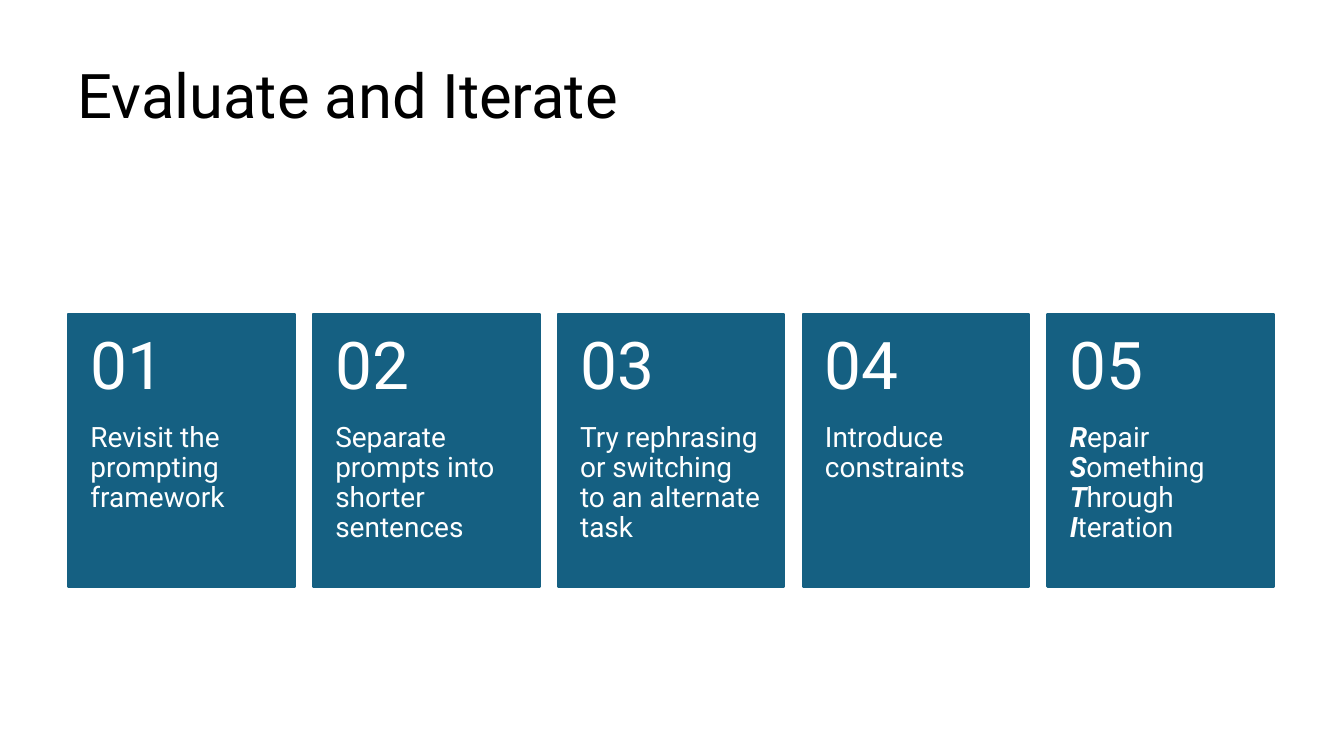
from pptx import Presentation, util as u
from pptx.dml.color import RGBColor
from pptx.enum import shapes, text

BLUE = RGBColor(0x15, 0x60, 0x82)
WHITE = RGBColor(0xFF, 0xFF, 0xFF)
BLACK = RGBColor(0x00, 0x00, 0x00)

# Card grid, in centimetres
LEFT, TOP, PITCH = 1.72, 7.92, 6.17
WIDTH, HEIGHT, NUMBER_HEIGHT = 5.71, 6.86, 2.74
SIDE_INSET = 0.56

# Each step is a list of words or phrases with an emphasised opening
STEPS = [
    [("", "Revisit the prompting framework")],
    [("", "Separate prompts into shorter sentences")],
    [("", "Try rephrasing or switching to an alternate task")],
    [("", "Introduce constraints")],
    [("R", "epair "), ("S", "omething "), ("T", "hrough "), ("I", "teration")],
]


def write(box, parts, size, color, anchor=text.MSO_ANCHOR.TOP, insets=None):
    """Fill a box with one paragraph of (emphasised, plain) parts."""
    frame = box.text_frame
    frame.word_wrap = True
    frame.auto_size = text.MSO_AUTO_SIZE.NONE
    frame.vertical_anchor = anchor
    if insets:
        frame.margin_left = frame.margin_right = u.Cm(SIDE_INSET)
        frame.margin_top, frame.margin_bottom = map(u.Cm, insets)
    para = frame.paragraphs[0]
    para.alignment = text.PP_ALIGN.LEFT
    para.line_spacing = 0.9
    for strong, plain in parts:
        for words, emphasis in ((strong, True), (plain, False)):
            if words:
                span = para.add_run()
                span.text = words
                span.font.name = "Roboto"
                span.font.size = u.Pt(size)
                span.font.color.rgb = color
                span.font.bold = span.font.italic = emphasis


deck = Presentation()
deck.slide_width, deck.slide_height = u.Cm(33.87), u.Cm(19.05)
page = deck.slides.add_slide(deck.slide_layouts[5])

# Title
title = page.shapes.title
title.left, title.top = u.Cm(1.7), u.Cm(1.52)
title.width, title.height = u.Cm(30.4), u.Cm(3.15)
write(title, [("", "Evaluate and Iterate")], 44, BLACK)

# Numbered cards
cards = page.shapes.add_group_shape().shapes
for index, step in enumerate(STEPS):
    left = u.Cm(LEFT + index * PITCH)
    card = cards.add_shape(shapes.MSO_SHAPE.RECTANGLE, left, u.Cm(TOP),
                           u.Cm(WIDTH), u.Cm(HEIGHT))
    card.shadow.inherit = False
    card.fill.solid()
    card.fill.fore_color.rgb = BLUE
    card.line.color.rgb = BLUE
    card.line.width = u.Pt(1.5)

    body = cards.add_textbox(left, u.Cm(TOP + NUMBER_HEIGHT), u.Cm(WIDTH),
                             u.Cm(HEIGHT - NUMBER_HEIGHT))
    write(body, step, 20, WHITE, insets=(0, 0.91))

    number = cards.add_textbox(left, u.Cm(TOP), u.Cm(WIDTH), u.Cm(NUMBER_HEIGHT))
    write(number, [("", f"{index + 1:02}")], 47, WHITE,
          anchor=text.MSO_ANCHOR.MIDDLE, insets=(0.46, 0.46))

deck.save("out.pptx")
